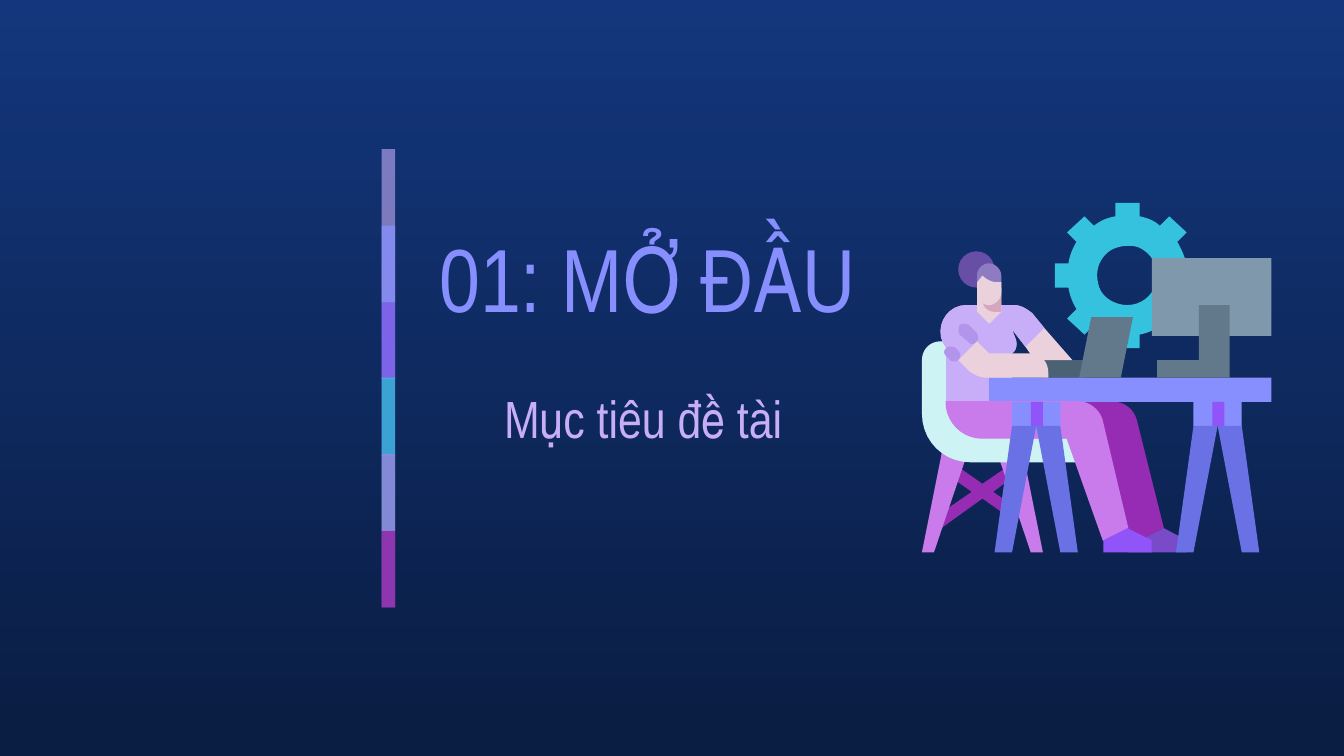
from lxml import etree
from pptx import Presentation
from pptx.dml.color import RGBColor
from pptx.enum.shapes import MSO_SHAPE
from pptx.enum.text import MSO_ANCHOR, PP_ALIGN
from pptx.oxml.ns import qn
from pptx.util import Pt

PX = 9144  # 100 px to the inch
RECTANGLE, OVAL = MSO_SHAPE.RECTANGLE, MSO_SHAPE.OVAL
LEFT, CENTER = PP_ALIGN.LEFT, PP_ALIGN.CENTER
MIDDLE = MSO_ANCHOR.MIDDLE
CURVE_STEPS = 10

PERIWINKLE, INDIGO, VIOLET = "878FFF", "6971E5", "9154F8"
LILAC, FOLD, ORCHID, PURPLE = "C8AEF8", "B394EB", "CA7BEB", "972CB4"
SKIN, CYAN, STEEL = "EAD1DC", "35C2DF", "62798C"

# colour, opacity in percent, height
BAR = [(LILAC, 59, 114), (PERIWINKLE, 74, 114), (VIOLET, 53, 114),
       (CYAN, 76, 114), (ORCHID, 56, 114), (PURPLE, 74, 57)]
BAR_STEP = 56.8

# Outlines: a pair is a corner, six numbers are a Bézier curve.
GEAR_HOLE = [(839, 183), (842, 183, 844, 183, 847, 184),
             (856, 188, 861, 196, 861, 205), (861, 217, 851, 227, 839, 227),
             (830, 227, 821, 222, 818, 214), (815, 205, 816, 196, 823, 189),
             (827, 185, 833, 183, 839, 183)]
GEAR_RIM = [(830, 151), (830, 161), (824, 162, 819, 164, 814, 168),
            (807, 161), (794, 173), (801, 180), (798, 185, 796, 190, 795, 196),
            (785, 196), (785, 214), (795, 214), (796, 220, 798, 225, 801, 230),
            (794, 237), (807, 249), (814, 242), (819, 246, 824, 248, 830, 249),
            (830, 259), (848, 259), (848, 249), (853, 248, 859, 246, 863, 242),
            (870, 249), (883, 237), (876, 230), (879, 225, 881, 220, 883, 214),
            (892, 214), (892, 196), (883, 196), (881, 190, 879, 185, 876, 180),
            (883, 173), (870, 161), (863, 168), (859, 164, 853, 162, 848, 161),
            (848, 151)]
CHAIR_CROSS = [(711, 346), (706, 354), (723, 366), (694, 386), (699, 394),
               (731, 371), (748, 383), (753, 376), (739, 366), (755, 354),
               (750, 347), (731, 360)]
CHAIR_LEG = [(-29, 331), (-45, 411), (-36, 411), (-9, 331)]
TRESTLE_LEG = [(-18, 317), (-31, 411), (-18, 411), (0, 317)]
SEAT = [(700, 254), (692, 254, 686, 260, 686, 268), (686, 308),
        (686, 328, 702, 344, 722, 344), (807, 344), (807, 322), (731, 322),
        (719, 322, 709, 312, 709, 299), (709, 254)]
FAR_LEG = [(731, 299), (731, 314, 743, 326, 758, 326), (821, 326), (839, 402),
           (848, 402), (866, 393), (846, 313), (844, 305, 837, 299, 829, 299)]
FAR_SHOE = [(866, 393), (848, 402), (839, 402), (839, 411), (883, 411), (883, 402)]
NEAR_LEG = [(704, 299), (704, 314, 716, 326, 731, 326), (794, 326), (821, 402),
            (839, 393), (820, 313), (818, 305, 810, 299, 802, 299)]
NEAR_SHOE = [(839, 393), (821, 402), (821, 411), (857, 411), (857, 402)]
TORSO = [(719, 227), (703, 227, 694, 246, 704, 259), (704, 299), (753, 299),
         (753, 263), (756, 261, 757, 257, 756, 253), (753, 245), (763, 258)]
FOREARM = [(770, 268), (798, 268)]
SHOULDER = [(777, 244), (768, 233), (764, 230, 760, 227, 754, 227)]
CUFF_FOLD = [(707, 258), (706, 258, 705, 258, 704, 259),
             (702, 261, 702, 263, 704, 265), (707, 268),
             (708, 269, 709, 269, 710, 269), (711, 269, 712, 269, 713, 268),
             (715, 266, 715, 263, 713, 261), (711, 259),
             (710, 258, 708, 258, 707, 258)]
SLEEVE_FOLD = [(718, 241), (717, 241, 715, 241, 714, 242),
               (713, 244, 713, 247, 714, 249), (720, 254),
               (721, 255, 722, 256, 723, 256), (725, 256, 726, 255, 727, 254),
               (728, 253, 728, 250, 727, 248), (721, 242),
               (720, 241, 719, 241, 718, 241)]
NECK = [(727, 214), (727, 232), (736, 241), (745, 232), (745, 214)]
NEAR_ARM = [(727, 254), (713, 268), (721, 276), (725, 279, 729, 281, 734, 281),
            (780, 281), (780, 277), (780, 269, 774, 263, 767, 263), (736, 263)]
LAPTOP_SCREEN = [(812, 236), (803, 281), (834, 281), (843, 236)]
MONITOR_STAND = [(892, 227), (892, 268), (861, 268), (861, 281), (915, 281), (915, 227)]
CHIN_SHADE = [(731, 214), (731, 223), (731, 228, 735, 232, 740, 232),
              (745, 232), (745, 214)]
HAIR = [(736, 196), (731, 196, 727, 200, 727, 205), (727, 214), (745, 214),
        (745, 205), (745, 200, 740, 196, 736, 196)]
FACE = [(731, 205), (727, 210), (727, 218), (727, 223, 731, 227, 736, 227),
        (740, 227, 745, 223, 745, 218), (745, 210), (742, 210),
        (738, 210, 734, 208, 731, 205)]


def rgb(value):
    return RGBColor.from_string(value)


def paint(shape, color, opacity=100):
    shape.shadow.inherit = False
    shape.line.fill.background()
    shape.fill.solid()
    shape.fill.fore_color.rgb = rgb(color)
    if opacity < 100:
        tone = shape.fill._xPr.find(".//" + qn("a:srgbClr"))
        etree.SubElement(tone, qn("a:alpha"), val=str(opacity * 1000))


def add_preset(shapes, kind, frame, color, opacity=100):
    shape = shapes.add_shape(kind, *(value * PX for value in frame))
    paint(shape, color, opacity)


def flatten(outline):
    """Turn an outline with curves into corner points in EMU."""
    points = []
    for step in outline:
        if len(step) == 2:
            points.append(step)
            continue
        knots = [points[-1], step[:2], step[2:4], step[4:]]
        for index in range(1, CURVE_STEPS + 1):
            t = index / CURVE_STEPS
            weights = ((1 - t) ** 3, 3 * t * (1 - t) ** 2, 3 * t * t * (1 - t), t ** 3)
            points.append(tuple(sum(w * knot[axis] for w, knot in zip(weights, knots))
                                for axis in (0, 1)))
    return [(round(x * PX), round(y * PX)) for x, y in points]


def add_outline(shapes, color, *outlines):
    first, *others = [flatten(outline) for outline in outlines]
    builder = shapes.build_freeform(*first[0])
    builder.add_line_segments(first[1:])
    for points in others:
        builder.move_to(*points[0])
        builder.add_line_segments(points[1:])
    shape = builder.convert_to_shape()
    paint(shape, color)
    return shape


def add_leg_pair(shapes, color, center, leg):
    for side in (-1, 1):
        add_outline(shapes, color, [(center - side * x, y) for x, y in leg])


def add_trestle(shapes, center):
    add_preset(shapes, RECTANGLE, (center - 18, 299, 36, 18), PERIWINKLE)
    add_preset(shapes, RECTANGLE, (center - 4, 299, 9, 18), VIOLET)
    add_leg_pair(shapes, INDIGO, center, TRESTLE_LEG)


def add_bar(shapes):
    for index, (color, opacity, height) in enumerate(BAR):
        top = 111 + round(index * BAR_STEP)
        add_preset(shapes, RECTANGLE, (284, top, 10, height), color, opacity)


def add_worker_scene(shapes):
    add_outline(shapes, CYAN, GEAR_HOLE, GEAR_RIM)
    add_preset(shapes, RECTANGLE, (776, 268, 31, 13), "4B6275")
    add_outline(shapes, PURPLE, CHAIR_CROSS)
    add_leg_pair(shapes, ORCHID, 731, CHAIR_LEG)
    for color, outline in [("CEF3F5", SEAT), (PURPLE, FAR_LEG), ("794BC8", FAR_SHOE),
                           (SKIN, TORSO + FOREARM + SHOULDER), (LILAC, TORSO + SHOULDER)]:
        add_outline(shapes, color, outline)
    add_preset(shapes, RECTANGLE, (736, 281, 210, 18), PERIWINKLE)
    for color, outline in [(FOLD, CUFF_FOLD), (FOLD, SLEEVE_FOLD), (SKIN, NECK),
                           (SKIN, NEAR_ARM), (STEEL, LAPTOP_SCREEN)]:
        add_outline(shapes, color, outline)
    thigh = add_outline(shapes, ORCHID, NEAR_LEG)
    thigh.line.color.rgb = rgb(ORCHID)
    thigh.line.width = Pt(0.75)
    add_outline(shapes, VIOLET, NEAR_SHOE)
    add_preset(shapes, RECTANGLE, (857, 192, 89, 58), "8098AB")
    add_outline(shapes, STEEL, MONITOR_STAND)
    for center in (906, 771):
        add_trestle(shapes, center)
    add_outline(shapes, "D5A6BD", CHIN_SHADE)
    add_preset(shapes, OVAL, (713, 187, 27, 27), "674EA7")
    add_outline(shapes, "8E7CC3", HAIR)
    add_outline(shapes, SKIN, FACE)


def add_text(page, frame, text, size, color, align):
    box = page.shapes.add_textbox(*(value * PX for value in frame)).text_frame
    margins = {"margin_" + side: 10 * PX for side in ("left", "top", "right", "bottom")}
    for name, value in {"word_wrap": True, "vertical_anchor": MIDDLE, **margins}.items():
        setattr(box, name, value)
    para = box.paragraphs[0]
    para.alignment = align
    span = para.add_run()
    span.text = text
    for name, value in {"name": "Arial Narrow", "size": Pt(size)}.items():
        setattr(span.font, name, value)
    span.font.color.rgb = rgb(color)


def set_background(page):
    fill = page.background.fill
    fill.gradient()
    fill.gradient_angle = 270
    for stop, color, position in zip(fill.gradient_stops, ("13367C", "0A1D42"), (0, 1)):
        stop.color.rgb = rgb(color)
        stop.position = position


def main():
    deck = Presentation()
    deck.slide_width = 1000 * PX
    deck.slide_height = deck.slide_width * 9 // 16
    page = deck.slides.add_slide(deck.slide_layouts[6])
    set_background(page)
    add_bar(page.shapes.add_group_shape().shapes)
    add_text(page, (317, 156, 346, 100), "01: MỞ ĐẦU", 48, PERIWINKLE, LEFT)
    add_text(page, (335, 277, 287, 67), "Mục tiêu đề tài", 28, LILAC, CENTER)
    add_worker_scene(page.shapes.add_group_shape().shapes)
    deck.save("out.pptx")


if __name__ == "__main__":
    main()
